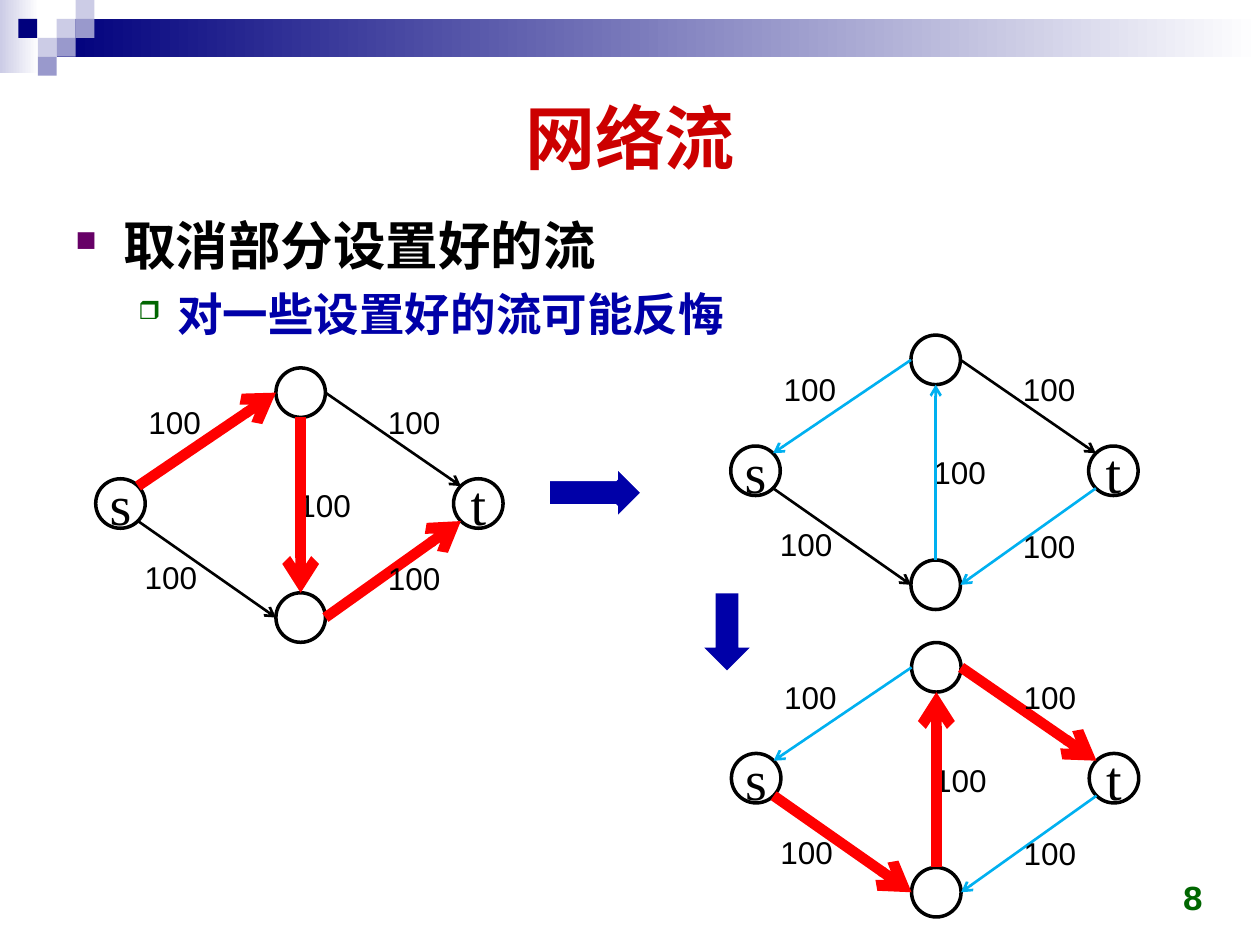
from math import cos, radians, sin

from lxml.etree import SubElement
from pptx import Presentation
from pptx.dml.color import RGBColor
from pptx.enum.shapes import MSO_CONNECTOR, MSO_SHAPE
from pptx.enum.text import MSO_ANCHOR, MSO_AUTO_SIZE, PP_ALIGN
from pptx.oxml.ns import qn
from pptx.util import Inches, Pt

COLORS = {
    "black": "000000", "white": "FFFFFF", "red": "FF0000", "sky": "00B0F0",
    "title": "CC0000", "blue": "0000A8", "navy": "00007D", "lilac": "CCCCE6",
    "violet": "9999CC", "purple": "660066", "green": "006600",
}
EDGE_STYLES = {
    "free": ("black", 1.5, "tailEnd"),
    "back": ("sky", 1.5, "headEnd"),
    "flow": ("red", 6, "tailEnd"),
    "flow_back": ("red", 6, "headEnd"),
}
COLUMNS, ROWS = 100, 75
NODE_SIZE = 3.93
NODES = {"s": (0, 8.8), "t": (28.4, 8.8), "top": (14.3, 0), "bottom": (14.3, 17.85)}
EDGES = {
    "s_top": (("s", -45), ("top", 180)),
    "top_t": (("top", 0), ("t", -135)),
    "bottom_t": (("bottom", 0), ("t", 135)),
    "s_bottom": (("s", 45), ("bottom", 180)),
    "top_bottom": (("top", 90), ("bottom", -90)),
}
CAPACITIES = [(3.2, 2.3), (2.9, 14.6), (22.2, 2.3), (15.1, 8.9), (22.2, 14.7)]


def rgb(name):
    """Return the named palette colour."""
    return RGBColor.from_string(COLORS[name])


def write_text(paragraph, text, size=18, font="Arial", color="black", bold=False,
               align=PP_ALIGN.LEFT):
    """Add a formatted run to a paragraph."""
    paragraph.alignment = align
    run = paragraph.add_run()
    run.text = text
    run.font.size, run.font.name, run.font.bold = Pt(size), font, bold
    run.font.color.rgb = rgb(color)


class SlideBuilder:
    """Hold the grid, the current slide and the canvas that receives shapes."""

    def __init__(self, presentation):
        """Add a title-only slide and measure its grid."""
        self.slide = presentation.slides.add_slide(presentation.slide_layouts[5])
        self.canvas = self.slide.shapes
        self.column = presentation.slide_width / COLUMNS
        self.row = presentation.slide_height / ROWS

    def place(self, *lengths):
        """Turn alternating columns and rows into slide lengths."""
        return [round(length * (self.row if i % 2 else self.column))
                for i, length in enumerate(lengths)]

    def open_group(self):
        """Send the following shapes to a new group."""
        self.canvas = self.slide.shapes.add_group_shape().shapes

    def close_group(self):
        """Send the following shapes to the slide itself."""
        self.canvas = self.slide.shapes

    def title(self, text, *box):
        """Fill and place the title placeholder."""
        heading = self.slide.shapes.title
        heading.left, heading.top, heading.width, heading.height = self.place(*box)
        heading.text_frame.vertical_anchor = MSO_ANCHOR.MIDDLE
        write_text(heading.text_frame.paragraphs[0], text, size=40, color="title",
                   bold=True, align=PP_ALIGN.CENTER)

    def shape(self, kind, *box, fill=None, line=None, width=2):
        """Add a preset shape with a plain, graded or empty fill."""
        shape = self.canvas.add_shape(kind, *self.place(*box))
        shape.shadow.inherit = False
        if isinstance(fill, tuple):
            shape.fill.gradient()
            shape.fill.gradient_angle = 0
            for stop, name, position in zip(shape.fill.gradient_stops, fill, (0, 1)):
                stop.color.rgb, stop.position = rgb(name), position
        elif fill:
            shape.fill.solid()
            shape.fill.fore_color.rgb = rgb(fill)
        else:
            shape.fill.background()
        if line:
            shape.line.color.rgb, shape.line.width = rgb(line), Pt(width)
        else:
            shape.line.fill.background()
        return shape

    def text(self, text, *box, wrap=True, anchor=MSO_ANCHOR.TOP, **style):
        """Add a text box with one paragraph."""
        frame = self.canvas.add_textbox(*self.place(*box)).text_frame
        frame.word_wrap, frame.vertical_anchor = wrap, anchor
        frame.auto_size = MSO_AUTO_SIZE.NONE if wrap else MSO_AUTO_SIZE.SHAPE_TO_FIT_TEXT
        write_text(frame.paragraphs[0], text, **style)

    def outline(self, items, *box):
        """Add a bulleted list with one level for each item."""
        frame = self.canvas.add_textbox(*self.place(*box)).text_frame
        frame.word_wrap = True
        for level, (text, size, color, bullet, bullet_color, left, hang) in enumerate(items):
            paragraph = frame.add_paragraph() if level else frame.paragraphs[0]
            paragraph.level, paragraph.line_spacing = level, 1.05
            paragraph.space_before = Pt(size * 0.15)
            write_text(paragraph, text, size=size, color=color, bold=True)
            properties = paragraph._p.get_or_add_pPr()
            properties.set("marL", str(Inches(left)))
            properties.set("indent", str(-Inches(hang)))
            tint = SubElement(properties, qn("a:buClr"))
            SubElement(tint, qn("a:srgbClr"), val=COLORS[bullet_color])
            SubElement(properties, qn("a:buSzPct"), val="55000")
            SubElement(properties, qn("a:buChar"), char=bullet)

    def node(self, label, left, top):
        """Add a round network node, labelled when it is an end point."""
        circle = self.shape(MSO_SHAPE.OVAL, left, top, NODE_SIZE, NODE_SIZE, line="black")
        if label:
            frame = circle.text_frame
            frame.margin_left = frame.margin_right = 0
            frame.margin_top = frame.margin_bottom = 0
            frame.vertical_anchor = MSO_ANCHOR.MIDDLE
            write_text(frame.paragraphs[0], label, size=32, font="Times New Roman",
                       align=PP_ALIGN.CENTER)

    def edge(self, start, end, style):
        """Add an arrow between two grid points."""
        color, width, arrow_end = EDGE_STYLES[style]
        edge = self.canvas.add_connector(MSO_CONNECTOR.STRAIGHT,
                                         *self.place(*start), *self.place(*end))
        edge.line.color.rgb, edge.line.width = rgb(color), Pt(width)
        SubElement(edge.line._get_or_add_ln(), qn(f"a:{arrow_end}"), type="arrow")
        SubElement(edge._element.spPr, qn("a:effectLst"))

    def network(self, left, top, **flows):
        """Add a four-node network whose edges take the given styles."""
        def rim(node, angle):
            x, y = NODES[node]
            radius = NODE_SIZE / 2
            return (left + x + radius * (1 + cos(radians(angle))),
                    top + y + radius * (1 + sin(radians(angle))))

        def draw_edges(names):
            for name in names:
                start, end = EDGES[name]
                self.edge(rim(*start), rim(*end), flows.get(name, "free"))

        self.open_group()
        for name, (x, y) in NODES.items():
            self.node(name if name in "st" else "", left + x, top + y)
        draw_edges(list(EDGES)[:3])
        for x, y in CAPACITIES:
            self.text("100", left + x, top + y, 6.2, 4, wrap=False)
        draw_edges(list(EDGES)[3:])
        self.close_group()

    def banner(self):
        """Add the graded bar and the mosaic of squares at the top."""
        self.open_group()
        self.shape(MSO_SHAPE.RECTANGLE, 0, 0, 3.1, 5.8, fill=("lilac", "white"))
        self.shape(MSO_SHAPE.RECTANGLE, 4.5, 1.5, 95.5, 3, fill=("navy", "white"))
        for x, y, fill in [(4.5, 1.5, "lilac"), (6, 0, "lilac"), (6, 1.5, "violet"),
                           (3, 3, "lilac"), (1.45, 1.5, "navy"), (4.5, 3, "violet"),
                           (3, 4.5, "violet")]:
            self.shape(MSO_SHAPE.RECTANGLE, x, y, 1.5, 1.5, fill=fill)
        self.close_group()


def main():
    """Build and save the network flow slide."""
    presentation = Presentation()
    presentation.slide_width, presentation.slide_height = Inches(10), Inches(7.5)
    builder = SlideBuilder(presentation)
    builder.banner()
    builder.title("网络流", 5, 5, 90, 11.6)
    builder.outline([
        ("取消部分设置好的流", 30, "black", "■", "purple", 0.38, 0.38),
        ("对一些设置好的流可能反悔", 26, "blue", "❒", "green", 0.81, 0.31),
    ], 5, 16.2, 90, 52)
    builder.text("8", 73.2, 68.3, 23.3, 5, anchor=MSO_ANCHOR.BOTTOM, size=20,
                 font="Courier New", color="green", bold=True, align=PP_ALIGN.RIGHT)
    builder.network(58, 26.6, s_top="back", bottom_t="back", top_bottom="back")
    builder.shape(MSO_SHAPE.RIGHT_ARROW, 43.5, 37, 7.5, 4.2, fill="blue", line="white")
    builder.network(7.6, 29.2, s_top="flow", bottom_t="flow", top_bottom="flow")
    builder.network(58.05, 51, s_top="back", top_t="flow", bottom_t="back",
                    s_bottom="flow", top_bottom="flow_back")
    builder.shape(MSO_SHAPE.DOWN_ARROW, 55.9, 47.1, 3.6, 6.1, fill="blue")
    presentation.save("out.pptx")


if __name__ == "__main__":
    main()
